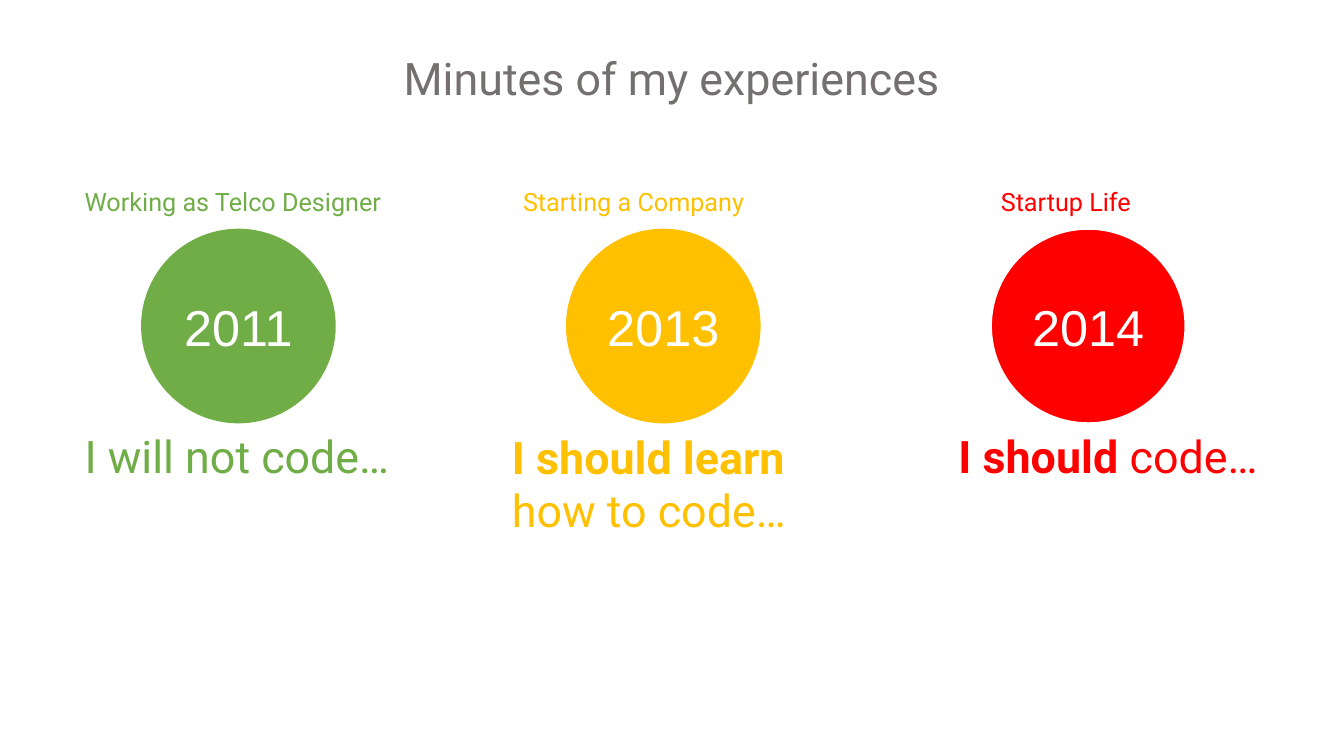
from dataclasses import dataclass
from pptx import Presentation
from pptx.dml.color import RGBColor
from pptx.enum.shapes import MSO_SHAPE
from pptx.enum.text import MSO_ANCHOR, MSO_AUTO_SIZE, PP_ALIGN
from pptx.util import Pt

OVAL = MSO_SHAPE.OVAL
MIDDLE, TOP = MSO_ANCHOR.MIDDLE, MSO_ANCHOR.TOP
CENTER, LEFT = PP_ALIGN.CENTER, PP_ALIGN.LEFT
NO_FIT = MSO_AUTO_SIZE.NONE

TITLE = "Minutes of my experiences"
STAGES = [
    {"year": "2011", "color": "70AD47", "edge": False,
     "role": "Working as Telco Designer", "role_box": (53.3, 239),
     "quote": [[("I will not code…", False)]], "quote_box": (53.3, 302.4, 245)},
    {"year": "2013", "color": "FFC000", "edge": False,
     "role": "Starting a Company", "role_box": (366.5, 214.6),
     "quote": [[("I should learn", True)], [("how to code…", False)]],
     "quote_box": (358.6, 303.1, 245)},
    {"year": "2014", "color": "FF0000", "edge": True,
     "role": "Startup Life", "role_box": (707.8, 132.5),
     "quote": [[("I should ", True), ("code…", False)]],
     "quote_box": (677.5, 302.4, 232.6)},
]


@dataclass
class Theme:
    body: str = "Roboto"
    digits: str = "Arial"
    gray: str = "757070"
    white: str = "FFFFFF"
    large: int = 32
    small: int = 18
    year: int = 36
    edge: float = 1.5


theme = Theme()
FIRST, STEP, DISC_TOP, DISC = 100.8, 303.5, 163.4, 139
ROLE_TOP, ROLE_H, LINE_H = 129.6, 36, 46


def rgb(code):
    return RGBColor.from_string(code)


def write(shape, lines, font, size, color, align=LEFT, anchor=TOP):
    frame = shape.text_frame
    frame.word_wrap = True
    frame.auto_size = NO_FIT
    frame.vertical_anchor = anchor
    frame.margin_left = frame.margin_right = Pt(7.2)
    frame.margin_top = frame.margin_bottom = Pt(3.6)
    for i, line in enumerate(lines):
        para = frame.add_paragraph() if i else frame.paragraphs[0]
        para.alignment = align
        para.line_spacing = 1.0
        for text, bold in line:
            run = para.add_run()
            run.text = text
            run.font.name = font
            run.font.size = Pt(size)
            run.font.bold = bold
            run.font.color.rgb = rgb(color)


def add_disc(slide, stage, left):
    disc = slide.shapes.add_shape(OVAL, Pt(left), Pt(DISC_TOP), Pt(DISC), Pt(DISC))
    disc.shadow.inherit = False
    disc.fill.solid()
    disc.fill.fore_color.rgb = rgb(stage["color"])
    if stage["edge"]:
        disc.line.color.rgb = rgb(theme.white)
        disc.line.width = Pt(theme.edge)
    else:
        disc.line.fill.background()
    write(disc, [[(stage["year"], False)]], theme.digits, theme.year,
          theme.white, CENTER, MIDDLE)


def add_label(slide, box, lines, size, color):
    label = slide.shapes.add_textbox(*map(Pt, box))
    write(label, lines, theme.body, size, color)


def main():
    deck = Presentation()
    deck.slide_width, deck.slide_height = Pt(960), Pt(540)
    slide = deck.slides.add_slide(deck.slide_layouts[5])

    title = slide.shapes.title
    title.left, title.top = Pt(247.7), Pt(32.4)
    title.width, title.height = Pt(464.4), Pt(LINE_H)
    write(title, [[(TITLE, False)]], theme.body, theme.large,
          theme.gray, CENTER, MIDDLE)

    for i, stage in enumerate(STAGES):
        add_disc(slide, stage, FIRST + i * STEP)
        left, width = stage["role_box"]
        add_label(slide, (left, ROLE_TOP, width, ROLE_H),
                  [[(stage["role"], False)]], theme.small, stage["color"])
        left, top, width = stage["quote_box"]
        lines = stage["quote"]
        add_label(slide, (left, top, width, LINE_H + 39 * (len(lines) - 1)),
                  lines, theme.large, stage["color"])

    deck.save("out.pptx")


if __name__ == "__main__":
    main()
